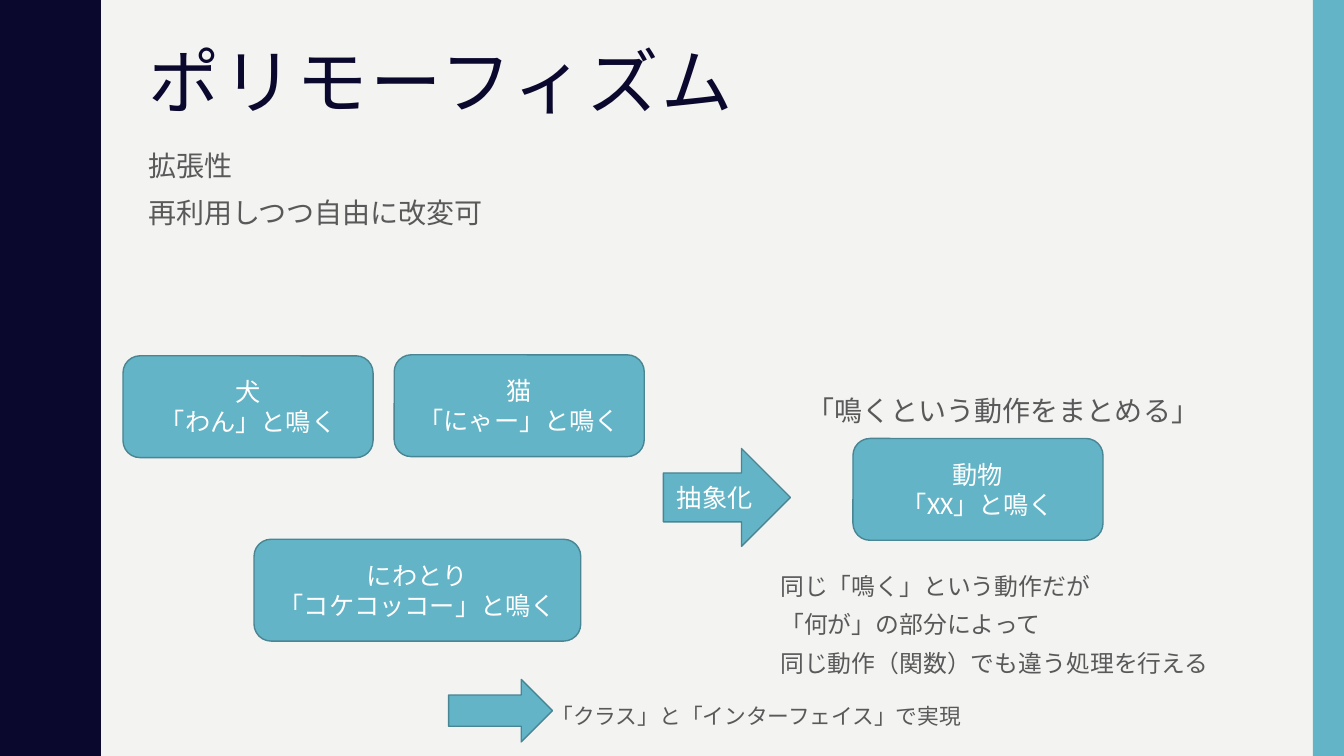
from pptx import Presentation
from pptx.dml.color import RGBColor
from pptx.enum.lang import MSO_LANGUAGE_ID
from pptx.enum.shapes import MSO_SHAPE
from pptx.enum.text import MSO_ANCHOR, PP_ALIGN
from pptx.util import Inches, Pt

RECT, ROUNDED, ARROW = MSO_SHAPE.RECTANGLE, MSO_SHAPE.ROUNDED_RECTANGLE, MSO_SHAPE.RIGHT_ARROW
LEFT, CENTER = PP_ALIGN.LEFT, PP_ALIGN.CENTER
TOP, MIDDLE = MSO_ANCHOR.TOP, MSO_ANCHOR.MIDDLE
JAPANESE = MSO_LANGUAGE_ID.JAPANESE

THEME = {
    "paper": "F3F3F2", "navy": "0B082E", "teal": "62B4C6", "edge": "498592",
    "gray": "595959", "white": "FFFFFF",
    "head_font": "Roboto Condensed", "body_font": "Calibri",
    "title": 51, "body": 20, "shape": 18, "detail": 17, "note": 15.5,
}
WIDTH, HEIGHT = 13.33, 7.5

TITLE = ("ポリモーフィズム", (1.37, 0.42, 11.13, 1.63))

# lines, box, size, line spacing
TEXTS = [
    (["拡張性", "再利用しつつ自由に改変可"], (1.37, 1.39, 11.13, 0.98), "body", 1.1),
    (["「鳴くという動作をまとめる」"], (7.9, 3.82, 4.74, 0.8), "body", 1.1),
    (["同じ「鳴く」という動作だが", "「何が」の部分によって", "同じ動作（関数）でも違う処理を行える"],
     (7.64, 5.62, 4.74, 1.29), "detail", 1.0),
    (["「クラス」と「インターフェイス」で実現"], (5.37, 6.95, 4.57, 0.55), "note", 0.9),
]

# preset, lines, box
DIAGRAM = [
    (ROUNDED, ["犬", "「わん」と鳴く"], (1.22, 3.53, 2.48, 1.01)),
    (ROUNDED, ["猫", "「にゃー」と鳴く"], (3.91, 3.52, 2.48, 1.01)),
    (ROUNDED, ["にわとり", "「コケコッコー」と鳴く"], (2.52, 5.35, 3.24, 1.01)),
    (ARROW, ["抽象化"], (6.58, 4.45, 1.26, 0.97)),
    (ROUNDED, ["動物", "「XX」と鳴く"], (8.46, 4.35, 2.48, 1.01)),
    (ARROW, [], (4.45, 6.74, 1.03, 0.62)),
]

# One rising half of the wavy edge; the falling half mirrors it
WAVE_PERIOD, WAVE_COUNT = 1.5, 5
WAVE_RISE = [
    (0.78, 0), (0.78, 0.07), (0.79, 0.14), (0.8, 0.2), (0.81, 0.25), (0.83, 0.29),
    (0.85, 0.33), (0.87, 0.38), (0.89, 0.42), (0.91, 0.46), (0.93, 0.5),
    (0.95, 0.55), (0.96, 0.61), (0.97, 0.68), (0.97, 0.75),
]


def color(name):
    return RGBColor.from_string(THEME[name])


def inches(box):
    return [Inches(v) for v in box]


def paint(sp, fill, line=None):
    sp.shadow.inherit = False
    sp.fill.solid()
    sp.fill.fore_color.rgb = color(fill)
    if line:
        sp.line.color.rgb = color(line)
        sp.line.width = Pt(1)
    else:
        sp.line.fill.background()


def write(sp, lines, size, ink, font="body_font", align=LEFT, anchor=TOP, spacing=1.0, gap=0):
    tf = sp.text_frame
    tf.word_wrap = True
    tf.vertical_anchor = anchor
    tf.text = "\n".join(lines)
    for i, p in enumerate(tf.paragraphs):
        p.alignment = align
        p.line_spacing = spacing
        p.space_before = Pt(gap if i else 0)
        for r in p.runs:
            r.font.size = Pt(THEME[size])
            r.font.name = THEME[font]
            r.font.color.rgb = color(ink)
            r.font.language_id = JAPANESE


def add_wave(slide):
    fall = [(x, WAVE_PERIOD - y) for x, y in WAVE_RISE[-2:0:-1]]
    edge = [(x, y + n * WAVE_PERIOD) for n in range(WAVE_COUNT) for x, y in WAVE_RISE + fall]
    points = edge + [(WAVE_RISE[0][0], HEIGHT), (0, HEIGHT)]
    builder = slide.shapes.build_freeform(0, 0, scale=Inches(1))
    builder.add_line_segments(points, close=True)
    paint(builder.convert_to_shape(), "navy")


def main():
    prs = Presentation()
    prs.slide_width, prs.slide_height = Inches(WIDTH), Inches(HEIGHT)
    slide = prs.slides.add_slide(prs.slide_layouts[6])
    slide.background.fill.solid()
    slide.background.fill.fore_color.rgb = color("paper")

    add_wave(slide)
    band = slide.shapes.add_shape(RECT, *inches((13.02, 0, 0.31, HEIGHT)))
    paint(band, "teal")

    text, box = TITLE
    title = slide.shapes.add_textbox(*inches(box))
    write(title, [text], "title", "navy", font="head_font", spacing=0.9)
    for r in title.text_frame.paragraphs[0].runs:
        r.font._element.set("spc", "200")

    for preset, lines, box in DIAGRAM:
        sp = slide.shapes.add_shape(preset, *inches(box))
        paint(sp, "teal", "edge")
        if lines:
            write(sp, lines, "shape", "white", align=CENTER, anchor=MIDDLE)

    for lines, box, size, spacing in TEXTS:
        sp = slide.shapes.add_textbox(*inches(box))
        write(sp, lines, size, "gray", spacing=spacing, gap=7)

    prs.save("out.pptx")


if __name__ == "__main__":
    main()
